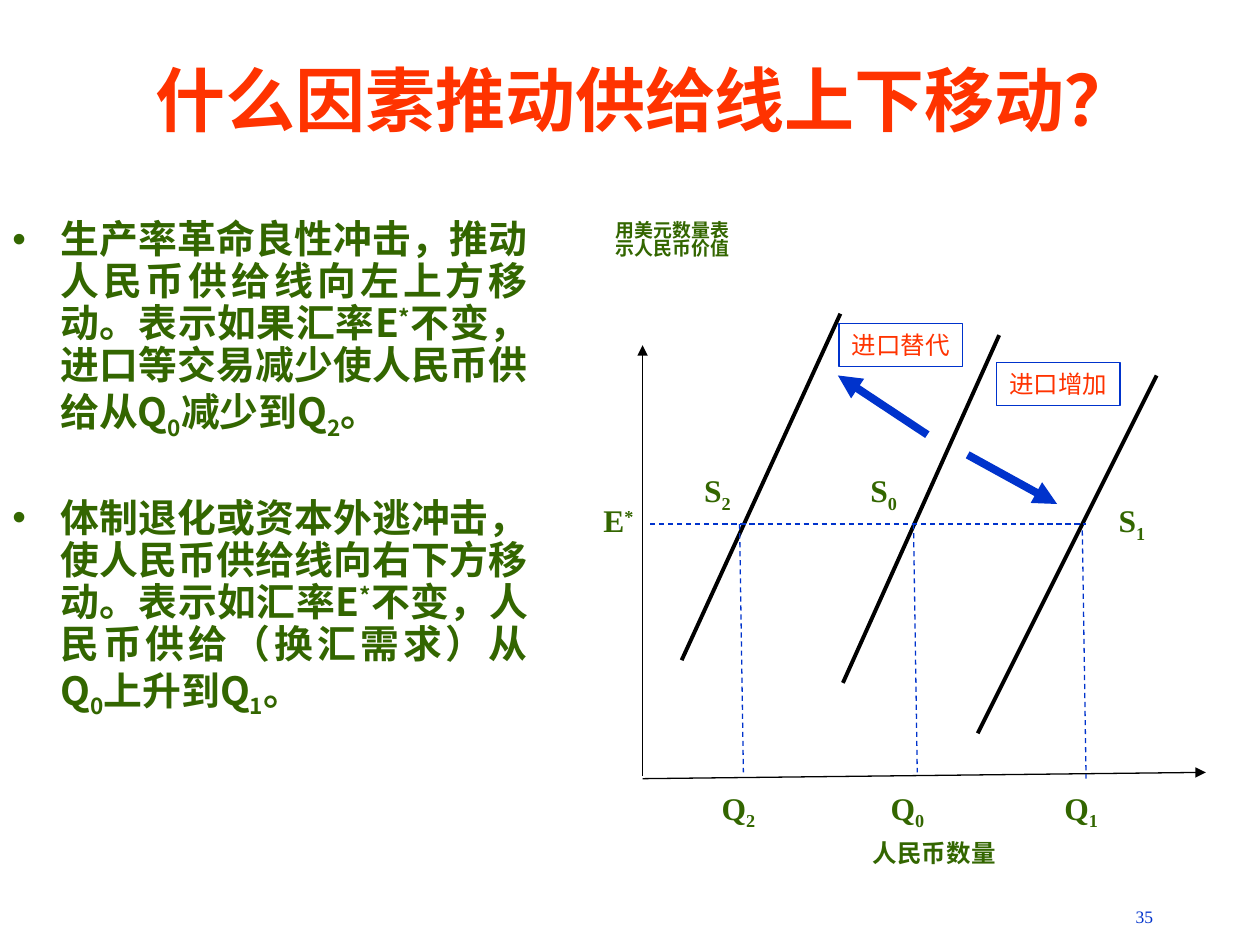
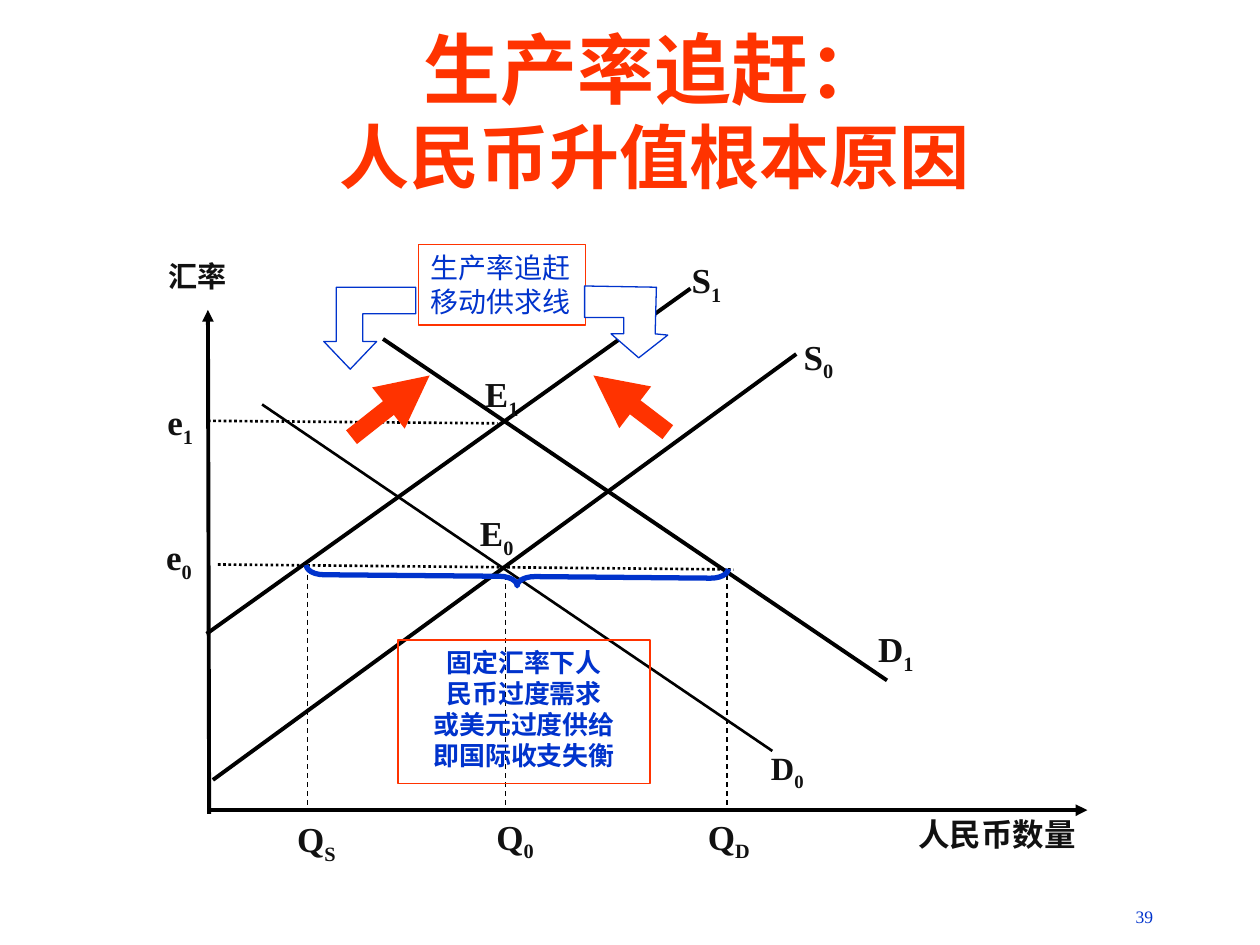
from dataclasses import dataclass

from lxml import etree
from pptx import Presentation
from pptx.dml.color import RGBColor
from pptx.enum.dml import MSO_LINE
from pptx.enum.shapes import MSO_CONNECTOR, MSO_SHAPE
from pptx.enum.text import MSO_ANCHOR, PP_ALIGN
from pptx.oxml.ns import qn
from pptx.util import Inches, Pt

LEFT, CENTER, RIGHT, JUSTIFY = PP_ALIGN.LEFT, PP_ALIGN.CENTER, PP_ALIGN.RIGHT, PP_ALIGN.JUSTIFY
TOP, MIDDLE = MSO_ANCHOR.TOP, MSO_ANCHOR.MIDDLE
DASH, DOT = MSO_LINE.DASH, MSO_LINE.ROUND_DOT
STRAIGHT = MSO_CONNECTOR.STRAIGHT
RECTANGLE, BRACE = MSO_SHAPE.RECTANGLE, MSO_SHAPE.RIGHT_BRACE


@dataclass(frozen=True)
class Theme:
    red: str = "FF3300"
    blue: str = "0033CC"
    green: str = "336600"
    ink: str = "111111"
    black: str = "000000"
    white: str = "FFFFFF"
    sans: str = "Noto Sans CJK SC"
    serif: str = "Times New Roman"
    title: float = 40
    title_large: float = 44
    body: float = 22.2
    number: float = 10
    hair: float = 0.75
    thin: float = 1.5
    thick: float = 2.25


T = Theme()

# Text marks: "|" separates runs, "_" lowers a run, "^" raises it.

# Content: supply shifts
SHIFT_TITLE = [("什么因素推动供给线上下移动？", T.title)]
SHIFT_CAUSES = [
    "生产率革命良性冲击，推动人民币供给线向左上方移动。表示如果汇率E|^*|"
    "不变，进口等交易减少使人民币供给从Q|_0|减少到Q|_2|。",
    "体制退化或资本外逃冲击，使人民币供给线向右下方移动。表示如汇率E|^*|"
    "不变，人民币供给（换汇需求）从Q|_0|上升到Q|_1|。",
]
SHIFT_AXES = [(5.1, 6.16, 5.1, 2.74), (5.1, 6.18, 9.57, 6.13)]
SHIFT_SUPPLY = [
    (6.69, 5.42, 7.93, 2.66),
    (7.76, 5.82, 9.18, 2.98),
    (5.41, 5.24, 6.67, 2.49),
]
SHIFT_RATE = (5.16, 4.16, 8.62, 4.16)
SHIFT_DROPS = [(7.25, 4.16), (5.87, 4.16), (8.59, 4.21)]
DROP_DX, DROP_DY = 0.03, 1.97
SHIFT_MOVES = [(7.36, 3.45, 6.65, 2.98), (7.68, 3.61, 8.39, 4)]
SHIFT_SYMBOLS = [
    ("S|_0", 6.81, 3.69), ("S|_1", 8.78, 3.93), ("S|_2", 5.49, 3.69),
    ("E|^*", 4.69, 3.93),
    ("Q|_2", 5.63, 6.21), ("Q|_0", 6.97, 6.21), ("Q|_1", 8.35, 6.21),
]
SHIFT_TAGS = [("进口替代", 6.66, 2.57), ("进口增加", 7.91, 2.88)]

# Content: productivity catch-up
CATCH_TITLE = [("生产率追赶：", T.title_large), ("人民币升值根本原因", T.title)]
CATCH_AXES = [(1.66, 6.46, 1.65, 2.46), (1.65, 6.43, 8.63, 6.43)]
CATCH_CURVES = [
    (1.69, 6.19, 6.32, 2.81, T.thick),
    (2.08, 3.21, 6.13, 5.96, T.thin),
    (3.04, 2.69, 7.04, 5.4, T.thick),
    (1.64, 5.03, 5.48, 2.29, T.thick),
]
CATCH_RATES = [(1.73, 4.48, 5.82, 4.52), (1.65, 3.34, 3.95, 3.36)]
CATCH_QUANTITIES = [2.44, 4.01, 5.77]
CATCH_MOVES = [(2.79, 3.47, 3.41, 2.98), (5.3, 3.43, 4.71, 2.98)]
CATCH_SYMBOLS = [
    ("S|_0", 6.28, 2.61, 20), ("S|_1", 5.39, 2, 20),
    ("D|_0", 6.02, 5.89, 18.5), ("D|_1", 6.87, 4.93, 20),
    ("E|_0", 3.71, 4.01, 20), ("E|_1", 3.75, 2.91, 20),
    ("e|_0", 1.22, 4.2, 20), ("e|_1", 1.23, 3.13, 20),
    ("Q|_S", 2.26, 6.44, 20), ("Q|_0", 3.84, 6.42, 20), ("Q|_D", 5.52, 6.42, 20),
]
IMBALANCE = ["固定汇率下人", "民币过度需求", "或美元过度供给", "即国际收支失衡"]
CATCH_UP = ["生产率追赶", "移动供求线"]
BENT_ARROWS = [
    [(2.78, 2.93), (2.99, 2.71), (2.88, 2.71), (2.88, 2.49), (3.3, 2.49),
     (3.3, 2.28), (2.67, 2.28), (2.67, 2.71), (2.57, 2.71)],
    [(5.07, 2.84), (4.85, 2.65), (4.95, 2.65), (4.95, 2.52), (4.64, 2.52),
     (4.64, 2.27), (5.21, 2.28), (5.2, 2.65), (5.3, 2.66)],
]


def rgb(color):
    return RGBColor.from_string(color)


def add_run(paragraph, text, size, color, bold, font):
    run = paragraph.add_run()
    run.text = text.lstrip("_^")
    run.font.size, run.font.bold, run.font.name = Pt(size), bold, font
    run.font.color.rgb = rgb(color)
    properties = run._r.get_or_add_rPr()
    etree.SubElement(properties, qn("a:ea")).set("typeface", T.sans)
    baseline = {"_": "-25000", "^": "30000"}.get(text[0])
    if baseline:
        properties.set("baseline", baseline)


def write(shape, lines, size, color, bold=False, font=T.serif, align=LEFT,
          spacing=None, anchor=TOP):
    """Fill a shape with lines; a (text, size) line has its own size."""
    frame = shape.text_frame
    frame.word_wrap, frame.vertical_anchor = True, anchor
    frame.margin_left = frame.margin_right = Inches(0.1)
    frame.margin_top = frame.margin_bottom = Inches(0.05)
    for i, line in enumerate(lines):
        text, line_size = line if isinstance(line, tuple) else (line, size)
        paragraph = frame.add_paragraph() if i else frame.paragraphs[0]
        paragraph.alignment = align
        if spacing:
            paragraph.line_spacing = spacing
        for piece in text.split("|"):
            add_run(paragraph, piece, line_size, color, bold, font)
    return frame


def add_text(slide, box, lines, size, color, **style):
    shape = slide.shapes.add_textbox(*map(Inches, box))
    return write(shape, lines, size, color, **style)


def outline(shape, color, width, fill=None):
    shape.shadow.inherit = False
    if fill:
        shape.fill.solid()
        shape.fill.fore_color.rgb = rgb(fill)
    else:
        shape.fill.background()
    shape.line.color.rgb = rgb(color)
    shape.line.width = Pt(width)


def add_box(slide, box, lines, size, line_color, text_color, **style):
    shape = slide.shapes.add_shape(RECTANGLE, *map(Inches, box))
    outline(shape, line_color, T.hair)
    return write(shape, lines, size, text_color, **style)


def add_line(slide, ends, color=T.black, width=T.hair, dash=None, arrow=False):
    line = slide.shapes.add_connector(STRAIGHT, *map(Inches, ends))
    line.line.color.rgb = rgb(color)
    line.line.width = Pt(width)
    if dash:
        line.line.dash_style = dash
    if arrow:
        etree.SubElement(line.line._get_or_add_ln(), qn("a:tailEnd")).set("type", "triangle")
    etree.SubElement(line._element.spPr, qn("a:effectLst"))


def add_bullets(slide, box, items):
    frame = add_text(slide, box, items, T.body, T.green, bold=True, font=T.sans,
                     align=JUSTIFY, spacing=0.9)
    for i, paragraph in enumerate(frame.paragraphs):
        paragraph.space_before = Pt(36 if i else 0)
        properties = paragraph._p.get_or_add_pPr()
        properties.set("marL", str(Inches(0.38)))
        properties.set("indent", str(-Inches(0.38)))
        properties.set("hangingPunct", "0")
        etree.SubElement(properties, qn("a:buFont")).set("typeface", "Arial")
        etree.SubElement(properties, qn("a:buChar")).set("char", "•")


def start_slide(deck, title, title_box, number):
    slide = deck.slides.add_slide(deck.slide_layouts[6])
    add_text(slide, (7.17, 7.14, 2.08, 0.32), [number], T.number, T.blue, align=RIGHT)
    add_text(slide, title_box, title, T.title, T.red, bold=True, font=T.sans,
             align=CENTER, anchor=MIDDLE)
    return slide


def build_supply_shift(deck):
    slide = start_slide(deck, SHIFT_TITLE, (0.75, 0.33, 8.74, 0.9), "35")
    add_bullets(slide, (0, 1.7, 4.29, 4.96), SHIFT_CAUSES)

    # Axes, supply curves and guides
    for axis in SHIFT_AXES:
        add_line(slide, axis, arrow=True)
    for curve in SHIFT_SUPPLY:
        add_line(slide, curve, width=T.thick)
    drops = [(x, y, x + DROP_DX, y + DROP_DY) for x, y in SHIFT_DROPS]
    for guide in [SHIFT_RATE, *drops]:
        add_line(slide, guide, T.blue, dash=DASH)
    for move in SHIFT_MOVES:
        add_line(slide, move, T.blue, 4.5, arrow=True)

    # Labels
    add_text(slide, (4.79, 1.72, 1.12, 0.68), ["用美元数量表示人民币价值"], 10.8,
             T.green, bold=True, font=T.sans, spacing=0.8)
    add_text(slide, (6.83, 6.6, 1.3, 0.38), ["人民币数量"], 14, T.green,
             bold=True, font=T.sans, align=JUSTIFY)
    for symbol, x, y in SHIFT_SYMBOLS:
        add_text(slide, (x, y, 0.63, 0.47), [symbol], 18, T.green, bold=True, align=JUSTIFY)
    for tag, x, y in SHIFT_TAGS:
        frame = add_box(slide, (x, y, 0.98, 0.34), [tag], 14, T.blue, T.red)
        frame.margin_right = 0


def build_catch_up(deck):
    slide = start_slide(deck, CATCH_TITLE, (0.98, 0.28, 8.43, 1.18), "39")

    # Axes, curves and guides
    for axis in CATCH_AXES:
        add_line(slide, axis, width=T.thick, arrow=True)
    for *ends, width in CATCH_CURVES:
        add_line(slide, ends, width=width)
    for rate in CATCH_RATES:
        add_line(slide, rate, width=T.thin, dash=DOT)
    for x in CATCH_QUANTITIES:
        add_line(slide, (x, 4.56, x, 6.43), dash=DASH)
    for move in CATCH_MOVES:
        add_line(slide, move, T.red, 10, arrow=True)

    # Gap between demand and supply
    gap = slide.shapes.add_shape(BRACE, *map(Inches, (4.03, 2.9, 0.15, 3.35)))
    gap.rotation = 90.5
    gap.adjustments[0] = 0.93
    outline(gap, T.blue, 3)

    # Labels
    for name, box, size in [("人民币数量", (7.19, 6.42, 1.51, 0.56), 18),
                            ("汇率", (1.24, 2, 1.21, 0.4), 16.6)]:
        add_text(slide, box, [name], size, T.ink, bold=True, align=JUSTIFY)
    for symbol, x, y, size in CATCH_SYMBOLS:
        add_text(slide, (x, y, 0.75, 0.48), [symbol], size, T.ink, bold=True, align=JUSTIFY)
    add_box(slide, (3.16, 5.08, 2, 1.14), IMBALANCE, 14.8, T.red, T.blue,
            bold=True, align=CENTER)
    add_box(slide, (3.32, 1.94, 1.33, 0.64), CATCH_UP, 16, T.red, T.blue)

    # Bent arrows from the catch-up box to the curves
    for arrow in BENT_ARROWS:
        tip, *corners = [(Inches(x), Inches(y)) for x, y in arrow]
        builder = slide.shapes.build_freeform(*tip)
        builder.add_line_segments(corners, close=True)
        outline(builder.convert_to_shape(), T.blue, T.hair, T.white)


def main():
    deck = Presentation()
    deck.slide_width, deck.slide_height = Inches(10), Inches(7.5)
    build_supply_shift(deck)
    build_catch_up(deck)
    deck.save("out.pptx")


if __name__ == "__main__":
    main()
